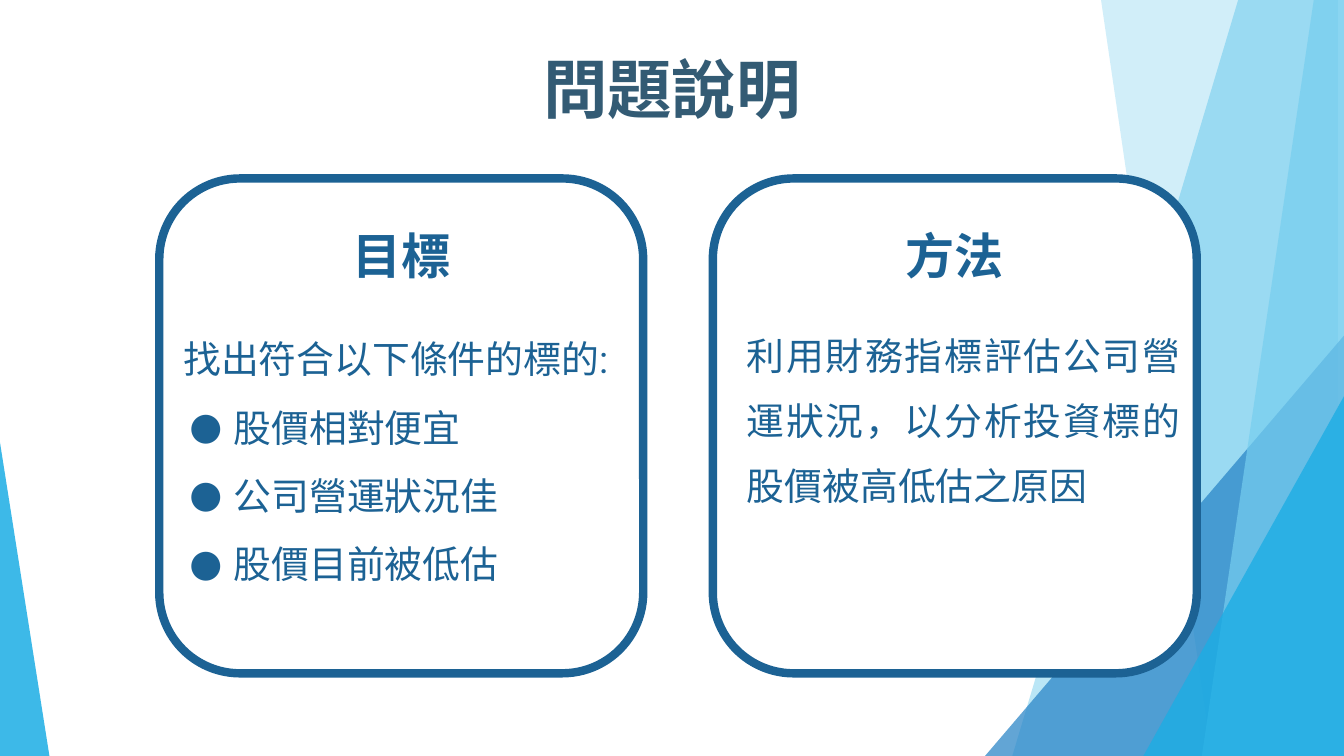
from dataclasses import dataclass

import pptx
import pptx.dml.color
import pptx.enum.shapes
import pptx.enum.text
import pptx.oxml
import pptx.oxml.ns
import pptx.util
from pptx.util import Inches

Kind = pptx.enum.shapes.MSO_SHAPE
Align = pptx.enum.text.PP_ALIGN
Anchor = pptx.enum.text.MSO_ANCHOR
Fit = pptx.enum.text.MSO_AUTO_SIZE


@dataclass(frozen=True)
class Theme:
    font: str = "Roboto"
    title: str = "335B74"
    ink: str = "1C6294"
    paper: str = "FFFFFF"
    sky: str = "1CADE4"
    blue: str = "2683C6"
    pale: str = "76CEEF"
    title_size: int = 46
    head_size: int = 35
    body_size: int = 27


@dataclass(frozen=True)
class Facet:
    """A translucent polygon of the backdrop."""
    points: tuple[tuple[float, float], ...]
    color: str
    alpha: int


@dataclass(frozen=True)
class Wedge:
    """A translucent right triangle; tip 0 points up at left, 1 at right."""
    box: tuple[float, float, float, float]
    tip: int
    color: str
    alpha: int


@dataclass(frozen=True)
class Line:
    text: str
    bullet: bool = False
    align: Align = Align.LEFT
    space: float = 1.5


@dataclass(frozen=True)
class Card:
    left: float
    head: str
    head_box: tuple[float, float, float, float]
    body_box: tuple[float, float, float, float]
    lines: tuple[Line, ...]


THEME = Theme()
WIDE, HIGH = 13.33, 7.5

BACKDROP = (
    Facet(((12.28, 0), (WIDE, 0), (WIDE, HIGH), (10.04, HIGH)), THEME.sky, 30),
    Facet(((10.92, 0), (13.27, 0), (13.27, HIGH), (12.02, HIGH)), THEME.sky, 20),
    Wedge((9.77, 3.33, 3.56, 4.17), 1, THEME.blue, 72),
    Facet(((13.03, 0), (WIDE, 0), (WIDE, HIGH), (11.92, HIGH)), THEME.pale, 70),
    Wedge((11.34, 3.93, 1.99, 3.57), 1, THEME.sky, 80),
    Wedge((0, 4.39, 0.49, 3.11), 0, THEME.sky, 85),
)

CARDS = (
    Card(1.58, "目標", (2.04, 2.14, 3.88, 0.79), (1.72, 3.01, 4.66, 2.7), (
        Line("找出符合以下條件的標的:"),
        Line("股價相對便宜", True),
        Line("公司營運狀況佳", True),
        Line("股價目前被低估", True),
    )),
    Card(7.07, "方法", (7.69, 2.14, 3.56, 0.79), (7.31, 3.01, 4.49, 1.96), (
        Line("利用財務指標評估公司營運狀況，以分析投資標的股價被高低估之原因",
             align=Align.JUSTIFY, space=1.43),
    )),
)


def rgb(color: str) -> pptx.dml.color.RGBColor:
    return pptx.dml.color.RGBColor.from_string(color)


def node(parent, tag: str, **attrs: str):
    child = pptx.oxml.ns.qn(tag)
    item = parent.makeelement(child, attrs)
    parent.append(item)
    return item


def style(para, size: int, color: str, bold: bool = False) -> None:
    font = para.font
    font.name, font.size, font.bold = THEME.font, pptx.util.Pt(size), bold
    font.color.rgb = rgb(color)


def paint(shape, color: str, alpha: int) -> None:
    shape.shadow.inherit = False
    shape.line.fill.background()
    shape.fill.solid()
    shape.fill.fore_color.rgb = rgb(color)
    tint = shape.fill._xPr.find(".//" + pptx.oxml.ns.qn("a:srgbClr"))
    node(tint, "a:alpha", val=str(alpha * 1000))


def add_facet(slide, facet: Facet) -> None:
    first, *rest = [(Inches(x), Inches(y)) for x, y in facet.points]
    pen = slide.shapes.build_freeform(*first)
    pen.add_line_segments(rest, close=True)
    paint(pen.convert_to_shape(), facet.color, facet.alpha)


def add_wedge(slide, wedge: Wedge) -> None:
    shape = slide.shapes.add_shape(
        Kind.ISOSCELES_TRIANGLE, *map(Inches, wedge.box))
    shape.adjustments[0] = wedge.tip
    paint(shape, wedge.color, wedge.alpha)


def add_title(slide, text: str) -> None:
    title = slide.shapes.title
    title.left, title.top = Inches(3.33), Inches(0.43)
    title.width, title.height = Inches(6.67), Inches(0.88)
    frame = title.text_frame
    frame.text = text
    frame.vertical_anchor = Anchor.MIDDLE
    frame.auto_size = Fit.NONE
    para = frame.paragraphs[0]
    para.alignment = Align.CENTER
    style(para, THEME.title_size, THEME.title, True)


def add_frame(slide, box: tuple[float, float, float, float]):
    frame = slide.shapes.add_textbox(*map(Inches, box)).text_frame
    frame.word_wrap = True
    frame.auto_size = Fit.SHAPE_TO_FIT_TEXT
    frame.margin_left = frame.margin_right = Inches(0.1)
    frame.margin_top = frame.margin_bottom = Inches(0.1)
    return frame


def add_bullet(para) -> None:
    props = para._p.get_or_add_pPr()
    props.set("marL", str(Inches(0.5)))
    props.set("indent", str(Inches(-0.44)))
    tint = node(props, "a:buClr")
    node(tint, "a:srgbClr", val=THEME.ink)
    node(props, "a:buFont", typeface=THEME.font)
    node(props, "a:buChar", char="●")


def add_panel(slide, card: Card) -> None:
    panel = slide.shapes.add_shape(
        Kind.ROUNDED_RECTANGLE, Inches(card.left), Inches(1.77),
        Inches(4.8), Inches(4.91))
    panel.adjustments[0] = 0.167
    panel.shadow.inherit = False
    panel.fill.solid()
    panel.fill.fore_color.rgb = rgb(THEME.paper)
    panel.line.color.rgb = rgb(THEME.ink)
    panel.line.width = pptx.util.Pt(6)


def add_text(slide, card: Card) -> None:
    head = add_frame(slide, card.head_box).paragraphs[0]
    head.text = card.head
    head.alignment = Align.CENTER
    style(head, THEME.head_size, THEME.ink, True)

    frame = add_frame(slide, card.body_box)
    for i, line in enumerate(card.lines):
        para = frame.add_paragraph() if i else frame.paragraphs[0]
        para.text = line.text
        para.alignment = line.align
        para.line_spacing = line.space
        if line.bullet:
            add_bullet(para)
        style(para, THEME.body_size, THEME.ink)


def main() -> None:
    deck = pptx.Presentation()
    deck.slide_width, deck.slide_height = Inches(WIDE), Inches(HIGH)
    slide = deck.slides.add_slide(deck.slide_layouts[5])
    for part in BACKDROP:
        if isinstance(part, Facet):
            add_facet(slide, part)
        else:
            add_wedge(slide, part)
    add_title(slide, "問題說明")
    for card in CARDS:
        add_panel(slide, card)
        add_text(slide, card)
    deck.save("out.pptx")


if __name__ == "__main__":
    main()
